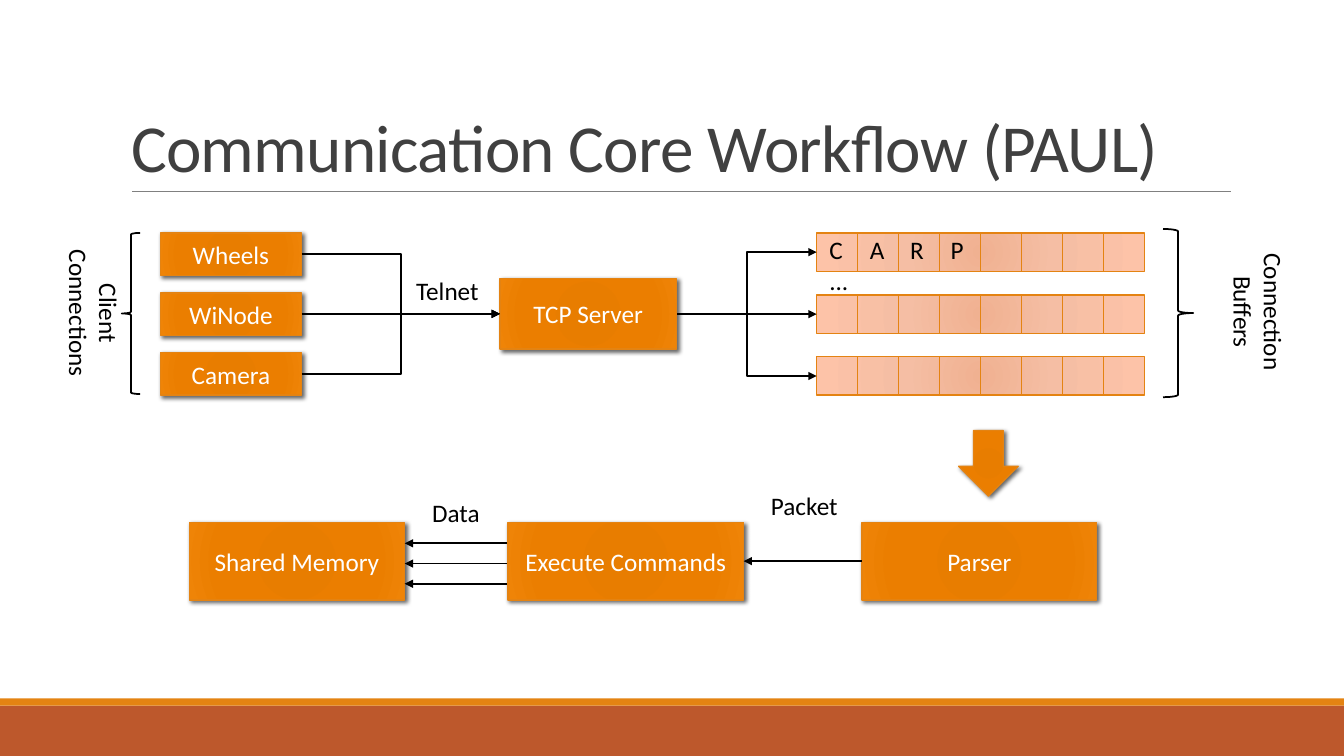
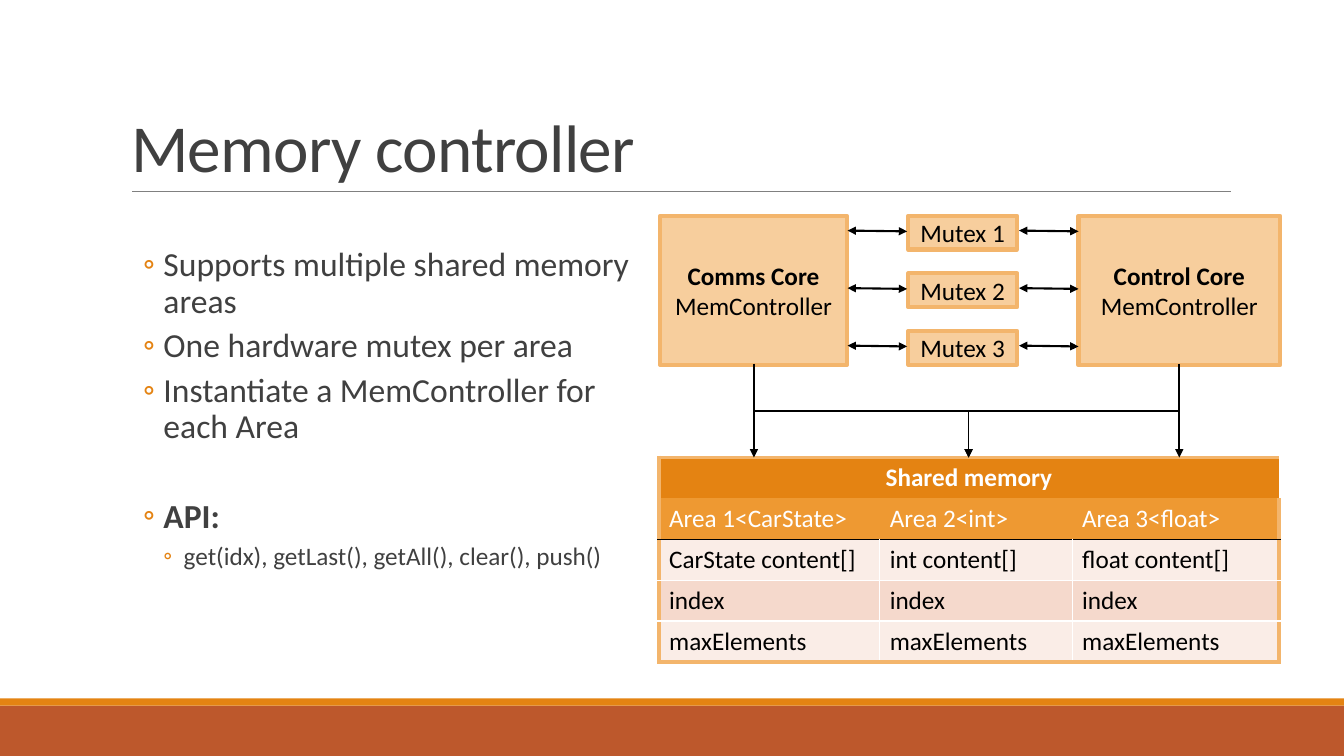
from pptx import Presentation
from pptx import util as u
from pptx.dml.color import RGBColor
from pptx.enum import shapes, text
from pptx.oxml import parse_xml
from pptx.oxml.ns import nsdecls, qn

COLORS = {
    "band": "BD582C", "accent": "E48312", "rule": "808080", "title": "404040",
    "black": "000000", "white": "FFFFFF", "area": "EE9932",
    "panel": "F7CE9D", "panel_edge": "F3B56C",
    "row_light": "FAEDE7", "row_dark": "F5D9CC",
}
ORANGE = [(0, "E57B00"), (34, "E87D00"), (70, "EB7E00"), (100, "EF8407")]
SALMON = [(0, "F0B191"), (45, "F5BEA4"), (100, "FDC3A8")]
FONT = "Calibri"
SHAPE = shapes.MSO_SHAPE
CENTER = text.PP_ALIGN.CENTER


def rgb(color):
    return RGBColor.from_string(COLORS[color])


def xml(markup):
    """Parse one element of the drawing namespace."""
    head, mark, rest = markup.partition(">")
    if head.endswith("/"):
        return parse_xml(f"{head[:-1]} {nsdecls('a')}/>{rest}")
    return parse_xml(f"{head} {nsdecls('a')}{mark}{rest}")


def set_radial_fill(shape, stops):
    shape.fill.gradient()
    gradient = shape.element.spPr.find(qn("a:gradFill"))
    for child in list(gradient):
        gradient.remove(child)
    marks = "".join(f'<a:gs pos="{pos * 1000}"><a:srgbClr val="{color}"/></a:gs>'
                    for pos, color in stops)
    gradient.append(xml(f"<a:gsLst>{marks}</a:gsLst>"))
    gradient.append(xml(
        '<a:path path="circle"><a:fillToRect l="100000" t="100000" '
        'r="100000" b="100000"/></a:path>'))


class Deck:
    def __init__(self):
        self.prs = Presentation()
        self.prs.slide_width = u.Cm(33.87)
        self.prs.slide_height = u.Cm(19.05)
        self.slide = None

    def new_slide(self, title, layout):
        first = self.slide is None
        self.slide = self.prs.slides.add_slide(self.prs.slide_layouts[layout])
        if first:
            self.add_master_decor()
        heading = self.slide.shapes.title
        self.place(heading, 3.05, 0.79, 27.94, 4.04)
        frame = heading.text_frame
        frame.auto_size = text.MSO_AUTO_SIZE.NONE
        frame.vertical_anchor = text.MSO_ANCHOR.BOTTOM
        paragraph = frame.paragraphs[0]
        paragraph.alignment = text.PP_ALIGN.LEFT
        paragraph.line_spacing = 0.85
        run = self.run(paragraph, title, 48, "title")
        run.font._element.set("spc", "-50")

    def add_master_decor(self):
        """Draw the bands and the title rule, then move them to the master."""
        decor = [self.shape(SHAPE.RECTANGLE, 0, 17.78, 33.87, 1.27, "band"),
                 self.shape(SHAPE.RECTANGLE, 0, 17.6, 33.87, 0.18, "accent"),
                 self.line((3.33, 4.83), (31.01, 4.83), "rule", 0.5)]
        tree = self.prs.slide_master.shapes.element
        for number, part in enumerate(decor):
            part.element.xpath(".//p:cNvPr")[0].set("id", str(100 + number))
            tree.insert(2 + number, part.element)

    @staticmethod
    def place(shape, x, y, w, h):
        shape.left, shape.top, shape.width, shape.height = map(u.Cm, (x, y, w, h))

    @staticmethod
    def run(paragraph, words, size=18, color="black", bold=False):
        run = paragraph.add_run()
        run.text = words
        run.font.name = FONT
        run.font.size = u.Pt(size)
        run.font.bold = bold
        run.font.color.rgb = rgb(color)
        return run

    def shape(self, kind, x, y, w, h, fill=None, edge=None, edge_width=1.0):
        shape = self.slide.shapes.add_shape(kind, *map(u.Cm, (x, y, w, h)))
        shape.shadow.inherit = False
        if fill:
            shape.fill.solid()
            shape.fill.fore_color.rgb = rgb(fill)
        else:
            shape.fill.background()
        if edge:
            shape.line.color.rgb = rgb(edge)
            shape.line.width = u.Pt(edge_width)
        else:
            shape.line.fill.background()
        return shape

    def caption(self, shape, lines, color, bold_first=False):
        """Centre the lines inside a shape."""
        frame = shape.text_frame
        frame.word_wrap = True
        frame.vertical_anchor = text.MSO_ANCHOR.MIDDLE
        for i, words in enumerate(lines):
            paragraph = frame.add_paragraph() if i else frame.paragraphs[0]
            paragraph.alignment = CENTER
            self.run(paragraph, words, color=color, bold=bold_first and i == 0)

    def block(self, words, x, y, w, h, kind=SHAPE.RECTANGLE):
        """Orange gradient shape with a soft shadow."""
        block = self.shape(kind, x, y, w, h, edge="accent")
        set_radial_fill(block, ORANGE)
        block.element.spPr.find(qn("a:effectLst")).append(xml(
            '<a:outerShdw blurRad="38100" dist="25400" dir="2700000" rotWithShape="0">'
            '<a:srgbClr val="000000"><a:alpha val="60000"/></a:srgbClr></a:outerShdw>'))
        if words:
            self.caption(block, [words], "white")

    def panel(self, lines, x, y, w, h):
        panel = self.shape(SHAPE.ROUNDED_RECTANGLE, x, y, w, h, "panel", "panel_edge", 3)
        panel.adjustments[0] = 0
        self.caption(panel, lines, "black", bold_first=len(lines) > 1)

    def label(self, lines, x, y, w, h, rotation=0, tab=None):
        box = self.slide.shapes.add_textbox(*map(u.Cm, (x, y, w, h)))
        box.rotation = rotation
        frame = box.text_frame
        frame.word_wrap = False
        for i, words in enumerate(lines):
            paragraph = frame.add_paragraph() if i else frame.paragraphs[0]
            if tab:
                stops = "".join(f'<a:tab pos="{u.Cm(tab * n)}" algn="l"/>'
                                for n in range(1, words.count("\t") + 1))
                paragraph._p.get_or_add_pPr().append(xml(f"<a:tabLst>{stops}</a:tabLst>"))
            if rotation:
                paragraph.alignment = CENTER
            self.run(paragraph, words)

    def line(self, start, end, color="black", width=1.25, heads="",
             kind=shapes.MSO_CONNECTOR.STRAIGHT):
        """Connector; heads names the arrow ends, such as "tail" or "head tail"."""
        line = self.slide.shapes.add_connector(kind, *map(u.Cm, (*start, *end)))
        line.line.color.rgb = rgb(color)
        line.line.width = u.Pt(width)
        stroke = line.line._get_or_add_ln()
        for name in heads.split():
            stroke.append(xml(f'<a:{name}End type="triangle"/>'))
        line.element.spPr.append(xml("<a:effectLst/>"))
        return line

    def elbow(self, start, end, heads="tail"):
        return self.line(start, end, heads=heads, kind=shapes.MSO_CONNECTOR.ELBOW)

    def drop_elbow(self, start, end):
        """Elbow that leaves and arrives vertically: a turned horizontal one."""
        (x1, y1), (x2, y2) = start, end
        mid_x, mid_y = (x1 + x2) / 2, (y1 + y2) / 2
        side = 1 if x1 < x2 else -1
        half_w, half_h = side * (y2 - y1) / 2, abs(x2 - x1) / 2
        elbow = self.elbow((mid_x + half_w, mid_y - half_h),
                           (mid_x - half_w, mid_y + half_h))
        turn = 270 if side > 0 else 90
        elbow.element.spPr.find(qn("a:xfrm")).set("rot", str(turn * 60000))

    def bullets(self, items, x, y, w, h):
        """Fill the body; an item is (words, level, size, bold, space before)."""
        body = self.slide.placeholders[1]
        self.place(body, x, y, w, h)
        frame = body.text_frame
        frame.auto_size = text.MSO_AUTO_SIZE.NONE
        frame.margin_left = frame.margin_right = 0
        for i, (words, level, size, bold, before) in enumerate(items):
            paragraph = frame.add_paragraph() if i else frame.paragraphs[0]
            paragraph.level = level
            props = paragraph._p.get_or_add_pPr()
            props.set("marL", str(u.Cm(1.07 + 0.51 * level)))
            props.set("indent", str(u.Cm(-0.51)))
            props.append(xml(f'<a:buClr><a:srgbClr val="{COLORS["accent"]}"/></a:buClr>'))
            props.append(xml(f'<a:buFont typeface="{FONT}"/>'))
            props.append(xml('<a:buChar char="◦"/>'))
            paragraph.line_spacing = 0.9
            paragraph.space_before = u.Pt(before)
            paragraph.space_after = u.Pt(4)
            self.run(paragraph, words, size, "title", bold)

    def memory_table(self, heading, rows, x, y, widths, row_height):
        count = len(rows) + 1
        frame = self.slide.shapes.add_table(
            count, len(widths), *map(u.Cm, (x, y, sum(widths), row_height * count)))
        table = frame.table
        table.first_row = table.horz_banding = False
        for column, width in zip(table.columns, widths):
            column.width = u.Cm(width)
        fills = ["accent", "area", "row_light", "row_dark", "row_light"]
        last_col, last_row = len(widths) - 1, count - 1
        outer, inner, black = ("panel_edge", 3), ("white", 1), ("black", 1)
        for r, cells in enumerate([[heading, "", ""], *rows]):
            table.rows[r].height = u.Cm(row_height)
            between = inner if r > 1 else None
            above = outer if r == 0 else black if r == 2 else between
            below = outer if r == last_row else black if r == 1 else between
            for c, words in enumerate(cells):
                cell = table.cell(r, c)
                cell.fill.solid()
                cell.fill.fore_color.rgb = rgb(fills[r])
                self.cell_borders(cell, L=between if c else outer,
                                  R=between if c < last_col else outer,
                                  T=above, B=below)
                if words:
                    self.run(cell.text_frame.paragraphs[0], words,
                             color="white" if r < 2 else "black", bold=r == 0)
        table.cell(0, 0).merge(table.cell(0, last_col))
        table.cell(0, 0).text_frame.paragraphs[0].alignment = CENTER

    @staticmethod
    def cell_borders(cell, **sides):
        props = cell._tc.get_or_add_tcPr()
        for position, (side, style) in enumerate(sides.items()):
            if style:
                color, width = style
                border = (f'<a:ln{side} w="{u.Pt(width)}"><a:solidFill><a:srgbClr '
                          f'val="{COLORS[color]}"/></a:solidFill></a:ln{side}>')
            else:
                border = f'<a:ln{side} w="0"><a:noFill/></a:ln{side}>'
            props.insert(position, xml(border))


def workflow_slide(deck):
    deck.new_slide("Communication Core Workflow (PAUL)", 5)
    hub_y = 7.91
    deck.block("TCP Server", 12.6, 7.02, 4.45, 1.78)
    for i, client in enumerate(["Wheels", "WiNode", "Camera"]):
        y = 5.87 + 1.51 * i
        deck.block(client, 4.04, y, 3.56, 1.07)
        deck.elbow((7.6, y + 0.53), (12.6, hub_y))
    deck.label(["Telnet"], 10.24, 6.81, 2.16, 1.02)

    buffer_x, buffer_w, buffer_h, slots = 20.58, 8.26, 0.97, 8
    for i in range(3):
        y = 5.87 + 1.56 * i
        buffer = deck.shape(SHAPE.RECTANGLE, buffer_x, y, buffer_w, buffer_h, edge="accent")
        set_radial_fill(buffer, SALMON)
        for slot in range(1, slots):
            x = buffer_x + buffer_w * slot / slots
            deck.line((x, y), (x, y + buffer_h), "accent")
        deck.elbow((17.07, hub_y), (buffer_x, y + buffer_h / 2))
    deck.label(["C\tA\tR\tP\t..."], 20.65, 5.79, 5, 1.02, tab=1.02)

    for kind, box in [(SHAPE.LEFT_BRACE, (3.07, 5.87, 0.46, 4.06)),
                      (SHAPE.RIGHT_BRACE, (29.31, 5.77, 0.76, 4.24))]:
        deck.shape(kind, *box, edge="black", edge_width=1.25)
    deck.label(["Client", "Connections"], 0.48, 6.99, 3.76, 1.8, rotation=90)
    deck.label(["Connection", "Buffers"], 29.97, 6.96, 3.48, 1.8, rotation=90)

    deck.block("", 24.16, 10.85, 1.5, 1.65, SHAPE.DOWN_ARROW)
    for step, x, w in [("Parser", 21.72, 5.92), ("Execute Commands", 12.8, 5.94),
                       ("Shared Memory", 4.78, 5.41)]:
        deck.block(step, x, 13.16, w, 1.96)
    deck.line((21.72, 14.14), (18.74, 14.14), heads="tail")
    deck.label(["Packet"], 19.18, 12.22, 2.26, 1.02)
    for i in range(3):
        y = 13.69 + 0.51 * i
        deck.line((12.78, y), (10.2, y), heads="tail")
    deck.label(["Data"], 10.64, 12.4, 1.73, 1.02)


def memory_slide(deck):
    deck.new_slide("Memory controller", 1)
    deck.bullets([
        ("Supports multiple shared memory areas", 0, 24, False, 0),
        ("One hardware mutex per area", 0, 24, False, 2),
        ("Instantiate a MemController for each Area", 0, 24, False, 2),
        ("API:", 0, 24, True, 34),
        ("get(idx), getLast(), getAll(), clear(), push()", 1, 18, False, 2),
    ], 3.05, 6.12, 12.9, 10.19)

    deck.panel(["Comms Core", "MemController"], 16.64, 5.44, 4.7, 3.76)
    deck.panel(["Control Core", "MemController"], 27.18, 5.44, 5.08, 3.76)
    for i in range(3):
        y = 5.44 + 1.45 * i
        deck.panel([f"Mutex {i + 1}"], 22.89, y, 2.74, 0.85)
        for x in (21.36, 25.68):
            deck.line((x, y + 0.37), (x + 1.5, y + 0.39), width=1.5, heads="head tail")

    deck.memory_table("Shared memory", [
        ["Area 1<CarState>", "Area 2<int>", "Area 3<float>"],
        ["CarState content[]", "int content[]", "float content[]"],
        ["index"] * 3,
        ["maxElements"] * 3,
    ], 16.61, 11.53, [5.56, 4.85, 5.21], 1.02)
    for x in (19, 29.72):
        deck.line((x, 9.17), (x, 11.53), width=1.5, heads="tail")
        deck.drop_elbow((x, 9.17), (24.41, 11.53))


def main():
    deck = Deck()
    workflow_slide(deck)
    memory_slide(deck)
    deck.prs.save("out.pptx")


if __name__ == "__main__":
    main()
